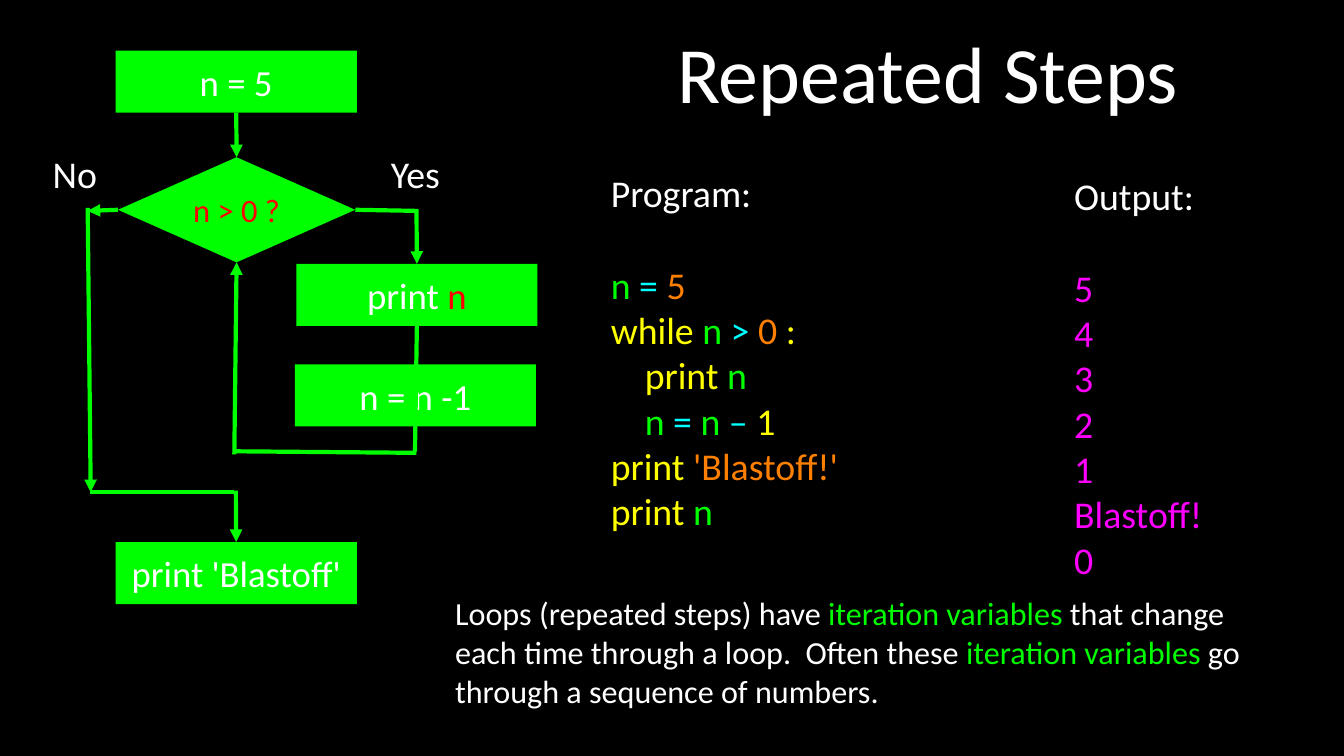
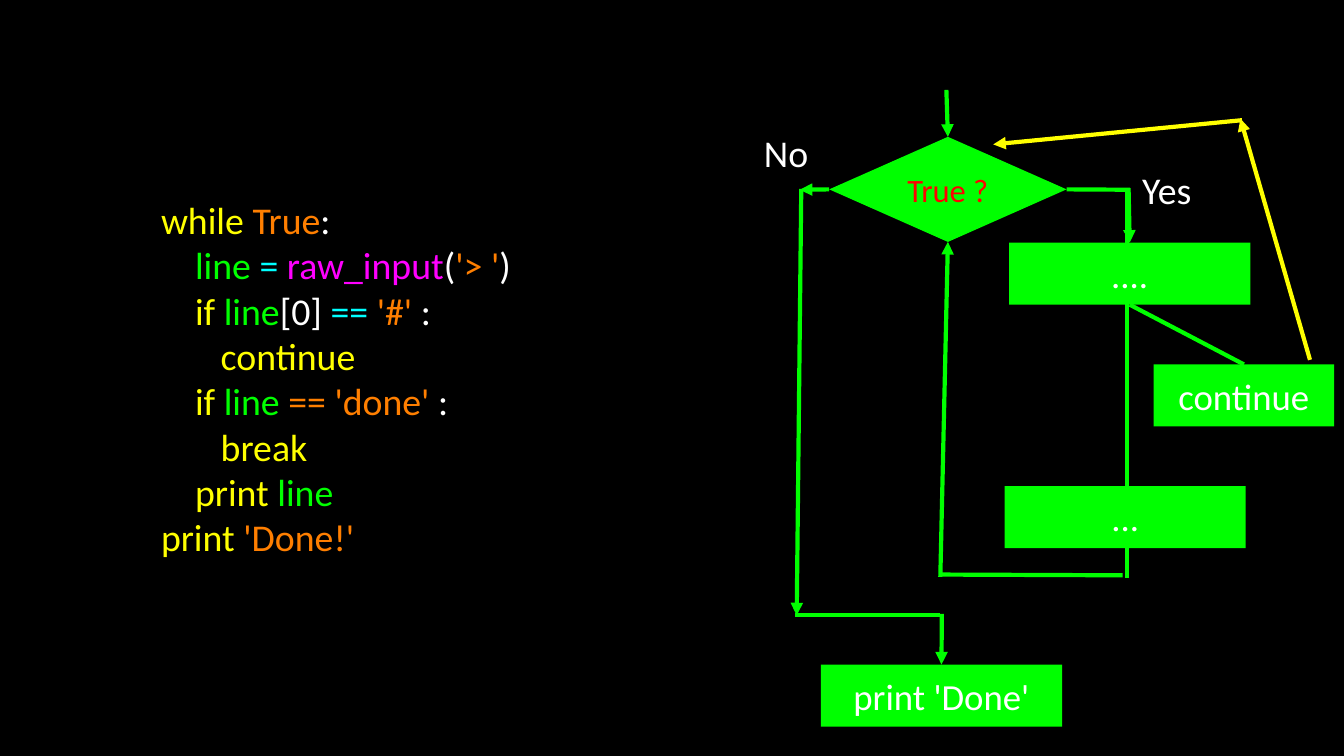
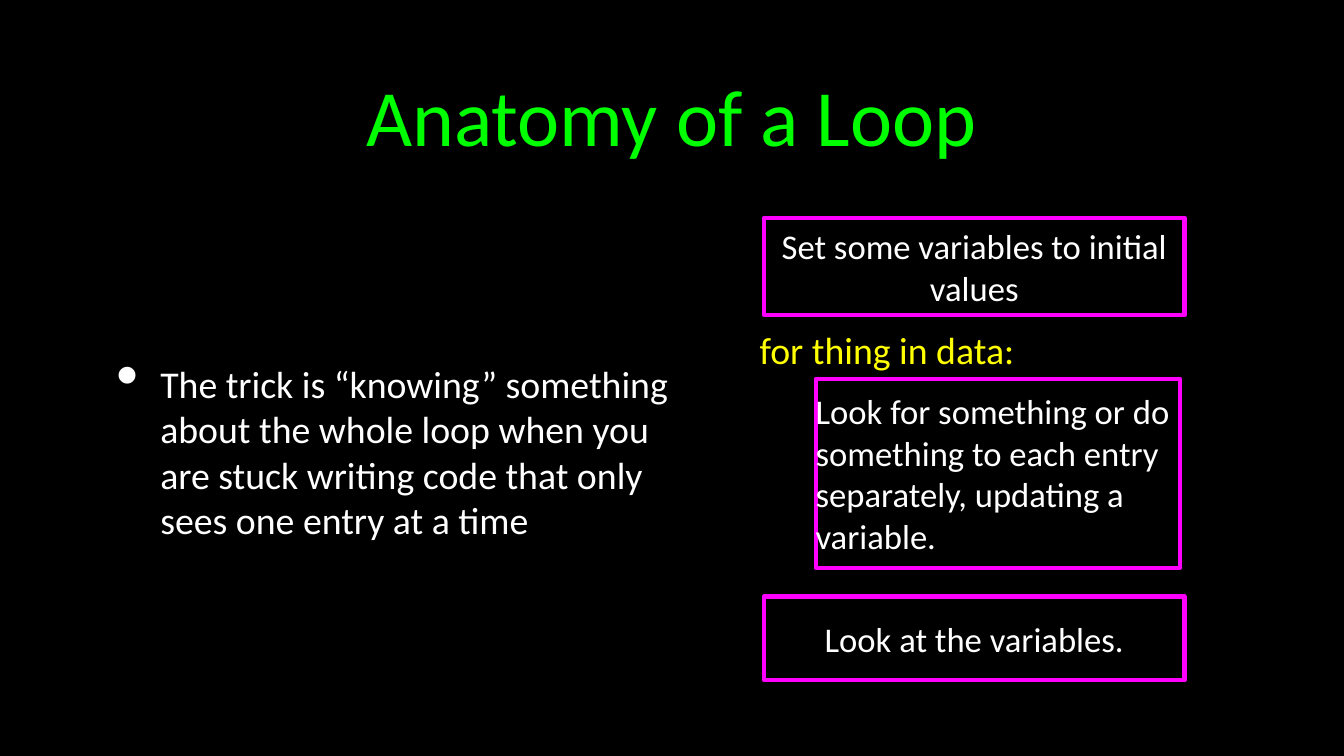
from dataclasses import dataclass

from lxml.etree import SubElement as Sub
from pptx import Presentation as Deck
from pptx.dml.color import RGBColor as Rgb
from pptx.enum.shapes import MSO_CONNECTOR as Wire, MSO_SHAPE as Form
from pptx.enum.text import MSO_ANCHOR as Anchor, PP_ALIGN as Align
from pptx.oxml.ns import qn
from pptx.util import Pt


@dataclass(frozen=True)
class Theme:
    font: str = "Calibri"
    black: str = "000000"
    white: str = "FFFFFF"
    green: str = "00FF00"
    red: str = "FF0000"
    yellow: str = "FFFF00"
    orange: str = "FF7F00"
    cyan: str = "00FFFF"
    pink: str = "FF00FF"
    title: float = 76
    code: float = 36
    step: float = 35
    note: float = 33
    test: float = 31
    body: float = 30.6
    gap: float = 44
    stroke: float = 4


T = Theme()
SCALE = 9144
WIDE, HIGH = 1778, 1000
STEP_W, STEP_H = 319, 82
TEST_W, TEST_H = 314, 139
TAB, DEEP = 45, 79
TOP, LEFT, BASE, RIGHT = range(4)


def px(*nums):
    return [round(n * SCALE) for n in nums]


def hue(code):
    return Rgb.from_string(code)


def fill_text(frame, lines, size, align=Align.LEFT, inset=0):
    frame.word_wrap = True
    frame.vertical_anchor = Anchor.MIDDLE
    frame.margin_left = frame.margin_top = px(inset)[0]
    frame.margin_right = frame.margin_bottom = px(inset)[0]
    for i, (dent, runs) in enumerate(lines):
        para = frame.add_paragraph() if i else frame.paragraphs[0]
        para.alignment = align
        if dent:
            para._p.get_or_add_pPr().set("marL", str(px(dent)[0]))
        for words, tint in runs:
            run = para.add_run()
            run.text = words
            run.font.name = T.font
            run.font.size = Pt(size)
            run.font.color.rgb = hue(tint)


def one(words, tint=T.white):
    return [(0, [(words, tint)])]


def add_text(slide, area, lines, size=T.code, align=Align.LEFT, inset=0):
    frame = slide.shapes.add_textbox(*px(*area)).text_frame
    fill_text(frame, lines, size, align, inset)
    return frame


def add_title(slide, area, words, tint):
    add_text(slide, area, one(words, tint), T.title, Align.CENTER, 4)


def add_label(slide, area, words, tint=T.white):
    add_text(slide, area, one(words, tint), align=Align.CENTER)


def add_code(slide, area, lines, head=False):
    frame = add_text(slide, area, lines)
    if head:
        frame.paragraphs[0].space_after = Pt(T.gap)


def add_node(slide, form, area, lines, size):
    node = slide.shapes.add_shape(form, *px(*area))
    node.shadow.inherit = False
    node.fill.solid()
    node.fill.fore_color.rgb = hue(T.green)
    node.line.fill.background()
    fill_text(node.text_frame, lines, size, Align.CENTER)
    return node


def add_step(slide, x, y, lines, wide=STEP_W):
    return add_node(slide, Form.RECTANGLE, (x, y, wide, STEP_H), lines, T.step)


def add_test(slide, x, y, words):
    area = (x, y, TEST_W, TEST_H)
    return add_node(slide, Form.DIAMOND, area, one(words, T.red), T.test)


def add_frame(slide, area, words, align=Align.CENTER):
    box = slide.shapes.add_shape(Form.RECTANGLE, *px(*area))
    box.shadow.inherit = False
    box.fill.background()
    box.line.color.rgb = hue(T.pink)
    box.line.width = Pt(T.stroke)
    fill_text(box.text_frame, one(words), T.note, align)


def add_link(slide, start, end, arrow=False, tint=T.green):
    ends = [(p, None) if isinstance(p[0], int) else ((0, 0), p)
            for p in (start, end)]
    spots = px(*ends[0][0], *ends[1][0])
    link = slide.shapes.add_connector(Wire.STRAIGHT, *spots)
    for (_, joint), join in zip(ends, (link.begin_connect, link.end_connect)):
        if joint:
            join(*joint)
    link.line.color.rgb = hue(tint)
    link.line.width = Pt(T.stroke)
    props = link.element.spPr
    if arrow:
        Sub(props.find(qn("a:ln")), qn("a:tailEnd"), type="triangle")
    Sub(props, qn("a:effectLst"))


def add_bullet(slide, area, words):
    frame = add_text(slide, area, one(words), inset=4)
    props = frame.paragraphs[0]._p.get_or_add_pPr()
    dent, hang = px(82, -58)
    props.set("marL", str(dent))
    props.set("indent", str(hang))
    Sub(Sub(props, qn("a:buClr")), qn("a:srgbClr"), val=T.white)
    Sub(props, qn("a:buSzPct"), val="171000")
    Sub(props, qn("a:buChar"), char="•")


def draw_steps(slide):
    add_title(slide, (800, -31, 854, 251), "Repeated Steps", T.white)
    shown = ["5", "4", "3", "2", "1", "Blastoff!", "0"]
    add_code(slide, (1421, 229, 207, 540), one("Output:") + [
        (0, [(word, T.pink)]) for word in shown], head=True)
    add_code(slide, (808, 225, 342, 480), one("Program:") + [
        (0, [("n ", T.green), ("= ", T.cyan), ("5", T.orange)]),
        (0, [("while ", T.yellow), ("n ", T.green), ("> ", T.cyan),
             ("0", T.orange), (" :", T.yellow)]),
        (TAB, [("print ", T.yellow), ("n", T.green)]),
        (TAB, [("n ", T.green), ("= ", T.cyan), ("n ", T.green),
               ("–", T.cyan), (" 1", T.yellow)]),
        (0, [("print ", T.yellow), ("'Blastoff!'", T.orange)]),
        (0, [("print ", T.yellow), ("n", T.green)]),
    ], head=True)
    add_text(slide, (602, 771, 1108, 182), [(0, [
        ("Loops (repeated steps) have ", T.white),
        ("iteration variables ", T.green),
        ("that change each time through a loop.  Often these ", T.white),
        ("iteration variables ", T.green),
        ("go through a sequence of numbers.", T.white),
    ])], T.body)
    add_label(slide, (65, 200, 68, 60), "No")
    add_label(slide, (509, 200, 81, 60), "Yes")

    first = add_step(slide, 153, 67, one("n = 5"))
    test = add_test(slide, 156, 208, "n > 0 ?")
    show = add_step(slide, 392, 349, [
        (0, [("print ", T.white), ("n", T.red)])])
    add_step(slide, 390, 482, one("n = n -1"))
    last = add_step(slide, 153, 717, one("print 'Blastoff'"))

    add_link(slide, (first, BASE), (test, TOP), True)
    add_link(slide, (test, RIGHT), (553, 279))
    add_link(slide, (551, 277), (show, TOP), True)
    add_link(slide, (show, BASE), (549, 597))
    add_link(slide, (551, 599), (312, 597))
    add_link(slide, (310, 601), (test, BASE), True)
    add_link(slide, (test, LEFT), (116, 279), True)
    add_link(slide, (116, 275), (120, 651), True)
    add_link(slide, (119, 651), (310, 651))
    add_link(slide, (312, 649), (last, TOP), True)


def draw_continue(slide):
    add_code(slide, (213, 260, 519, 480), [
        (0, [("while ", T.yellow), ("True", T.orange), (":", T.white)]),
        (TAB, [("line ", T.green), ("= ", T.cyan), ("raw_input", T.pink),
               ("(", T.white), ("'> '", T.orange), (")", T.white)]),
        (TAB, [("if", T.yellow), (" line", T.green), ("[0] ", T.white),
               ("== ", T.cyan), ("'#' ", T.orange), (":", T.white)]),
        (DEEP, [("continue", T.yellow)]),
        (TAB, [("if ", T.yellow), ("line ", T.green),
               ("== 'done' ", T.orange), (":", T.white)]),
        (DEEP, [("break", T.yellow)]),
        (TAB, [("print ", T.yellow), ("line", T.green)]),
        (0, [("print ", T.yellow), ("'Done!'", T.orange)]),
    ])
    add_label(slide, (1006, 172, 68, 60), "No")
    add_label(slide, (1503, 221, 81, 60), "Yes")

    add_link(slide, (1491, 764), (1491, 249))
    test = add_test(slide, 1097, 181, "True ?")
    work = add_step(slide, 1335, 321, one("...."))
    add_step(slide, 1329, 643, one("..."))
    skip = add_step(slide, 1526, 482, one("continue"), 239)
    last = add_step(slide, 1086, 879, one("print 'Done'"))

    add_link(slide, (1252, 119), (test, TOP), True)
    add_link(slide, (test, RIGHT), (1495, 251))
    add_link(slide, (1493, 249), (work, TOP), True)
    add_link(slide, (1485, 761), (1245, 760))
    add_link(slide, (1244, 763), (test, BASE), True)
    add_link(slide, (test, LEFT), (1058, 251), True)
    add_link(slide, (1060, 250), (1054, 814), True)
    add_link(slide, (1052, 814), (1244, 814))
    add_link(slide, (1246, 812), (last, TOP), True)
    add_link(slide, (skip, TOP), (work, BASE))
    add_link(slide, (1733, 476), (1641, 157), True, T.yellow)
    add_link(slide, (1643, 159), (1314, 191), True, T.yellow)


def draw_loop(slide):
    add_title(slide, (126, 26, 1524, 251), "Anatomy of a Loop", T.green)
    add_bullet(slide, (126, 285, 811, 624),
               "The trick is “knowing” something about the whole loop when "
               "you are stuck writing code that only sees one entry at a time")
    add_frame(slide, (1011, 288, 556, 129),
              "Set some variables to initial values")
    add_frame(slide, (1079, 501, 482, 250),
              "Look for something or do something to each entry separately, "
              "updating a variable.", Align.LEFT)
    add_label(slide, (977, 432, 393, 60), "for thing in data:", T.yellow)
    add_frame(slide, (1011, 789, 556, 111), "Look at the variables.")


def main():
    deck = Deck()
    deck.slide_width, deck.slide_height = px(WIDE, HIGH)
    back = deck.slide_master.background.fill
    back.solid()
    back.fore_color.rgb = hue(T.black)
    for draw in (draw_steps, draw_continue, draw_loop):
        draw(deck.slides.add_slide(deck.slide_layouts[6]))
    deck.save("out.pptx")


if __name__ == "__main__":
    main()
